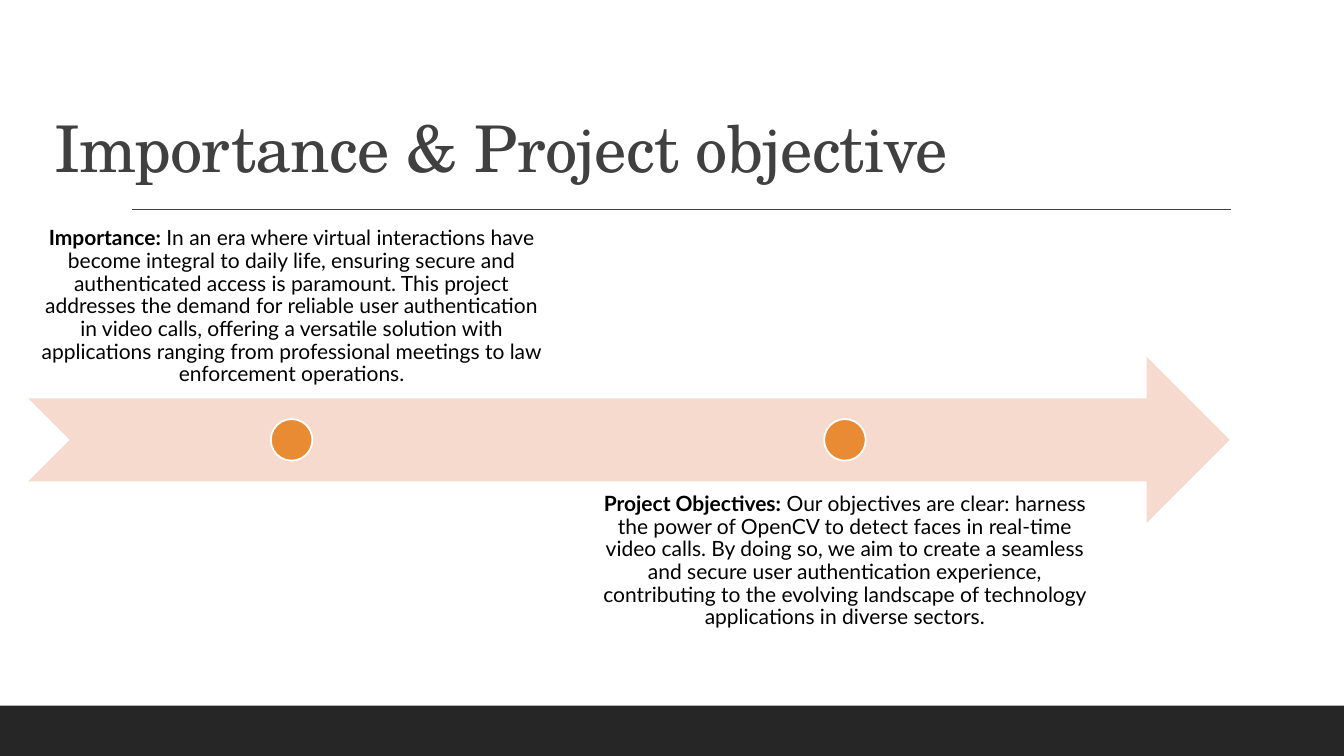
import pptx
import pptx.dml.color
import pptx.enum.shapes
import pptx.enum.text
import pptx.oxml
import pptx.util

Cm = pptx.util.Cm
Pt = pptx.util.Pt
MSO_SHAPE = pptx.enum.shapes.MSO_SHAPE
ANCHOR = pptx.enum.text.MSO_ANCHOR
ALIGN = pptx.enum.text.PP_ALIGN

WIDTH, HEIGHT = 33.87, 19.05
MILESTONES = [
    ("Importance:",
     " In an era where virtual interactions have become integral to daily life, "
     "ensuring secure and authenticated access is paramount. This project addresses "
     "the demand for reliable user authentication in video calls, offering a versatile "
     "solution with applications ranging from professional meetings to law enforcement "
     "operations."),
    ("Project Objectives:",
     " Our objectives are clear: harness the power of OpenCV to detect faces in "
     "real-time video calls. By doing so, we aim to create a seamless and secure user "
     "authentication experience, contributing to the evolving landscape of technology "
     "applications in diverse sectors."),
]


def rgb(value):
    """Turn a hex string into a colour."""
    return pptx.dml.color.RGBColor.from_string(value)


def add_filled(s, kind, box, fill, line=None):
    """Add a preset shape with a solid fill and an optional outline colour."""
    sp = s.shapes.add_shape(kind, *map(Cm, box))
    sp.shadow.inherit = False
    sp.fill.solid()
    sp.fill.fore_color.rgb = rgb(fill)
    if line:
        sp.line.color.rgb = rgb(line)
        sp.line.width = Pt(1.25)
    else:
        sp.line.fill.background()


def add_text(s, box, anchor, font, size, color):
    """Add a wrapping text box and return its frame and first paragraph."""
    tf = s.shapes.add_textbox(*map(Cm, box)).text_frame
    tf.word_wrap = True
    tf.vertical_anchor = anchor
    p = tf.paragraphs[0]
    p.line_spacing = 0.9
    p.font.name = font
    p.font.size = Pt(size)
    p.font.color.rgb = rgb(color)
    return tf, p


def add_header(s, left, top, width, height):
    """Place the title and the rule below it."""
    tf, p = add_text(s, (left, top, width, height), ANCHOR.BOTTOM,
                     "TeX Gyre Schola", 46, "404040")
    r = p.add_run()
    r.text = "Importance & Project objective"
    r._r.get_or_add_rPr().set("spc", "-50")
    y = Cm(top + height + 0.45)
    rule = s.shapes.add_connector(pptx.enum.shapes.MSO_CONNECTOR.STRAIGHT,
                                  Cm(left + 2.21), y, Cm(left + width + 0.02), y)
    rule.line.color.rgb = rgb("404040")
    rule.line.width = Pt(1)
    rule._element.spPr.append(pptx.oxml.parse_xml(
        '<a:effectLst xmlns:a="http://schemas.openxmlformats.org/drawingml/2006/main"/>'))


def add_milestone(s, left, top, width, height, anchor, heading, body):
    """Place one centred text with a bold heading."""
    tf, p = add_text(s, (left, top, width, height), anchor, "Lato", 15, "000000")
    tf.margin_left = tf.margin_right = tf.margin_top = tf.margin_bottom = Cm(0.3)
    p.alignment = ALIGN.CENTER
    for text, bold in ((heading, True), (body, False)):
        r = p.add_run()
        r.text = text
        r.font.bold = bold


def add_timeline(s, left, top, width, height):
    """Place the arrow with its dots and the texts above and below in turn."""
    add_filled(s, MSO_SHAPE.NOTCHED_RIGHT_ARROW, (left, top, width, height), "F6DACE")
    dot = height / 4
    column = 13.28
    pitch = column * 1.05
    for i, (heading, body) in enumerate(MILESTONES):
        x = left + i * pitch
        above = i % 2 == 0
        y = top - 0.75 * height if above else top + 0.75 * height
        anchor = ANCHOR.BOTTOM if above else ANCHOR.TOP
        add_milestone(s, x, y, column, height, anchor, heading, body)
        add_filled(s, MSO_SHAPE.OVAL,
                   (x + (column - dot) / 2, top + (height - dot) / 2, dot, dot),
                   "E88B33", "FFFFFF")


def main():
    """Build the slide and save it."""
    prs = pptx.Presentation()
    prs.slide_width, prs.slide_height = Cm(WIDTH), Cm(HEIGHT)
    s = prs.slides.add_slide(prs.slide_layouts[6])
    add_filled(s, MSO_SHAPE.RECTANGLE, (0, HEIGHT - 1.27, WIDTH, 1.27), "262626")
    add_header(s, 1.12, 0.79, 29.87, 4.04)
    add_timeline(s, 0.71, 8.99, 30.28, 4.19)
    prs.save("out.pptx")


if __name__ == "__main__":
    main()
